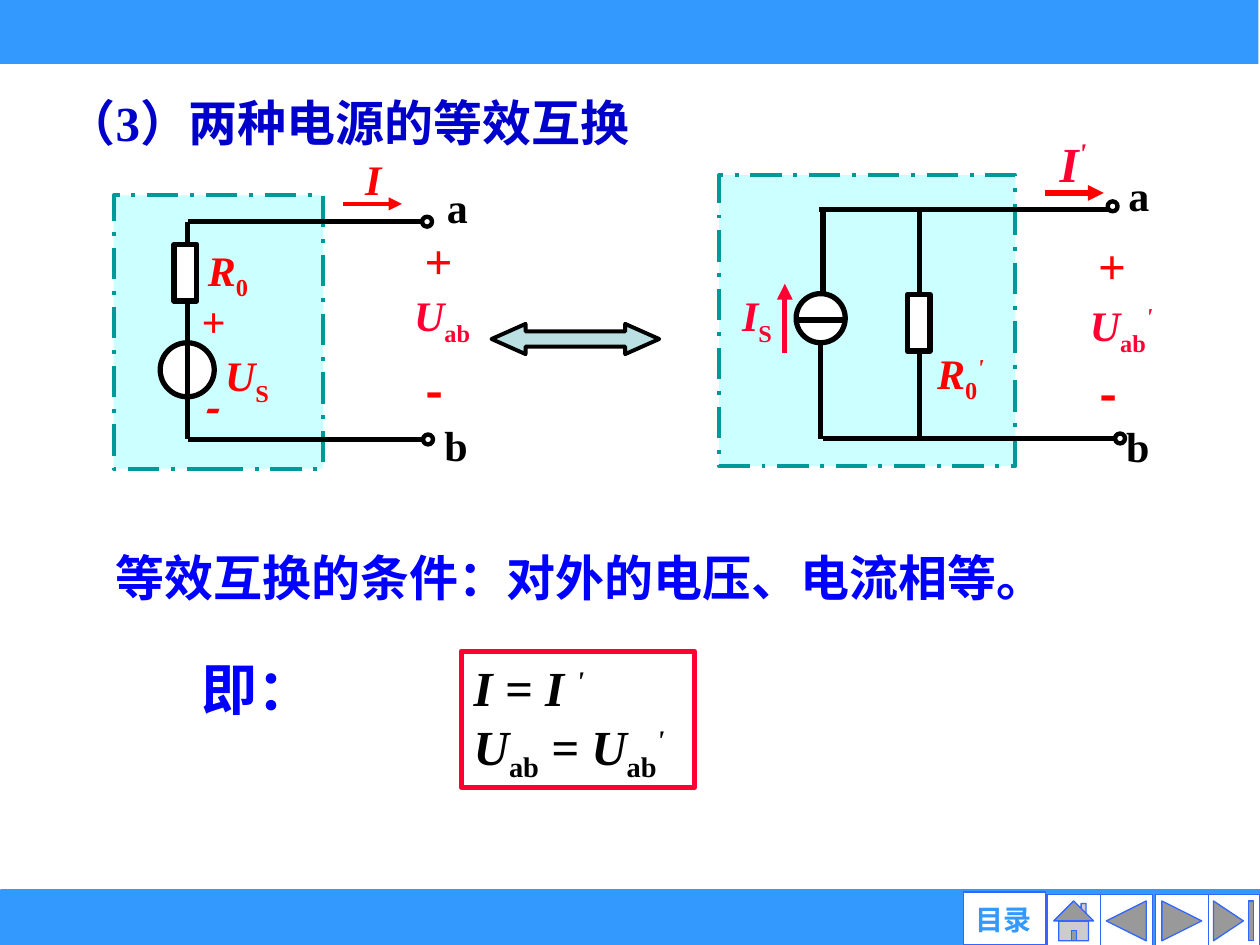
from dataclasses import dataclass
from typing import NamedTuple

from pptx import Presentation
from pptx.dml.color import RGBColor
from pptx.enum.dml import MSO_LINE
from pptx.enum.shapes import MSO_CONNECTOR, MSO_SHAPE as Kind
from pptx.enum.text import MSO_ANCHOR as Anchor, MSO_AUTO_SIZE as AutoSize, PP_ALIGN as Align
from pptx.oxml.ns import qn
from pptx.util import Cm, Pt
from lxml.etree import SubElement

COLORS = {
    "bar": "3399FF", "button_line": "3366FF", "white": "FFFFFF", "black": "000000",
    "title": "0000CC", "blue": "0000FF", "red": "FF0000", "crimson": "FF0033",
    "panel": "CCFFFF", "teal": "009999", "arrow": "BBE0E3",
}
SERIF = "Times New Roman"
SANS = "Noto Sans CJK SC"


class Span(NamedTuple):
    text: str
    italic: bool = False
    baseline: int = 0


class Area(NamedTuple):
    left: float
    top: float
    width: float
    height: float


class Wire(NamedTuple):
    x1: float
    y1: float
    x2: float
    y2: float
    color: str = "black"
    width: float = 3
    arrow: bool = False


class Label(NamedTuple):
    area: Area
    lines: list[list[Span]]
    color: str
    size: int = 24
    font: str = SERIF
    wrap: bool = False


@dataclass
class Circuit:
    panel: Area
    source: Area
    resistor: Area
    wires: list[Wire]
    terminals: list[tuple[float, float]]
    labels: list[Label]


def color_of(name: str) -> RGBColor:
    return RGBColor.from_string(COLORS[name])


def place(area: Area) -> list[Cm]:
    return [Cm(value) for value in area]


def write(frame, lines: list[list[Span]], color: str, size: int = 24,
          font: str = SERIF, wrap: bool = False, align=Align.LEFT) -> None:
    frame.word_wrap = wrap
    frame.auto_size = AutoSize.SHAPE_TO_FIT_TEXT
    for index, spans in enumerate(lines):
        para = frame.paragraphs[0] if index == 0 else frame.add_paragraph()
        para.alignment = align
        for span in spans:
            run = para.add_run()
            run.text = span.text
            run.font.size, run.font.name = Pt(size), font
            run.font.bold, run.font.italic = True, span.italic
            run.font.color.rgb = color_of(color)
            props = run._r.get_or_add_rPr()
            SubElement(props, qn("a:ea")).set("typeface", SANS)
            if span.baseline:
                props.set("baseline", str(span.baseline * 1000))


def add_label(page, label: Label) -> None:
    box = page.shapes.add_textbox(*place(label.area))
    write(box.text_frame, *label[1:])


def add_box(page, kind: Kind, area: Area, fill: str = "", line: str = "", width: float = 3):
    box = page.shapes.add_shape(kind, *place(area))
    box.shadow.inherit = False
    if fill:
        box.fill.solid()
        box.fill.fore_color.rgb = color_of(fill)
    else:
        box.fill.background()
    if line:
        box.line.color.rgb = color_of(line)
        box.line.width = Pt(width)
    else:
        box.line.fill.background()
    return box


def add_wire(page, wire: Wire) -> None:
    ends = [Cm(value) for value in wire[:4]]
    line = page.shapes.add_connector(MSO_CONNECTOR.STRAIGHT, *ends)
    line.line.color.rgb = color_of(wire.color)
    line.line.width = Pt(wire.width)
    if wire.arrow:
        SubElement(line.line._get_or_add_ln(), qn("a:tailEnd")).set("type", "triangle")
    SubElement(line._element.spPr, qn("a:effectLst"))


def add_circuit(page, circuit: Circuit) -> None:
    panel = add_box(page, Kind.RECTANGLE, circuit.panel, "panel", "teal", 2.25)
    panel.line.dash_style = MSO_LINE.LONG_DASH_DOT
    add_box(page, Kind.OVAL, circuit.source, "white", "black")
    for wire in circuit.wires:
        add_wire(page, wire)
    add_box(page, Kind.RECTANGLE, circuit.resistor, "white", "black")
    for left, top in circuit.terminals:
        add_box(page, Kind.OVAL, Area(left, top, 0.2, 0.2), "", "black", 2.5)
    for label in circuit.labels:
        add_label(page, label)


def symbol(name: str, sub: str = "", prime: int = 0) -> list[list[Span]]:
    spans = [Span(name, True)]
    if sub:
        spans.append(Span(sub, False, -25))
    if prime:
        spans.append(Span("'", True, prime))
    return [spans]


def plain(text: str) -> list[list[Span]]:
    return [[Span(text)]]


VOLTAGE_SOURCE = Circuit(
    panel=Area(2.29, 3.94, 4.22, 5.51),
    source=Area(3.23, 6.91, 1.09, 1.09),
    resistor=Area(3.51, 4.93, 0.46, 1.14),
    wires=[
        Wire(3.78, 4.47, 8.51, 4.47),
        Wire(3.78, 5.31, 3.78, 4.47),
        Wire(3.78, 8.84, 3.78, 6.02),
        Wire(3.78, 8.86, 8.51, 8.86),
        Wire(6.91, 4.11, 8.1, 4.11, "red", 2.5, True),
    ],
    terminals=[(8.51, 4.37), (8.53, 8.76)],
    labels=[
        Label(Area(7.11, 2.97, 0.84, 1.27), symbol("I"), "red"),
        Label(Area(3.94, 4.8, 1.35, 1.27), symbol("R", "0"), "red"),
        Label(Area(3.81, 5.84, 0.99, 1.27), symbol("+"), "red"),
        Label(Area(3.81, 7.57, 0.94, 1.27), symbol("-"), "red", 24, SANS),
        Label(Area(4.29, 6.93, 1.45, 1.27), symbol("U", "S"), "red"),
        Label(Area(8.71, 8.33, 0.99, 1.27), plain("b"), "black"),
        Label(Area(8.76, 3.53, 0.99, 1.27), plain("a"), "black", wrap=True),
        Label(Area(8.1, 5.72, 1.73, 1.27), symbol("U", "ab"), "crimson"),
        Label(Area(8.31, 4.52, 1.07, 1.45), plain("+"), "red", 28),
        Label(Area(8.33, 7.14, 1.02, 1.45), plain("-"), "red", 28, SANS),
    ],
)

CURRENT_SOURCE = Circuit(
    panel=Area(14.5, 3.53, 5.97, 5.87),
    source=Area(16.05, 5.92, 0.99, 0.99),
    resistor=Area(18.29, 5.94, 0.46, 1.14),
    wires=[
        Wire(18.54, 4.19, 18.54, 8.81),
        Wire(16.59, 4.19, 16.59, 5.89),
        Wire(16.54, 6.93, 16.54, 8.84),
        Wire(16.05, 6.45, 17.04, 6.45),
        Wire(16.51, 4.22, 22.33, 4.22),
        Wire(16.59, 8.84, 22.45, 8.84),
        Wire(21.06, 3.89, 22.25, 3.89, "red", 3, True),
        Wire(15.82, 7.11, 15.82, 5.72, "crimson", 3, True),
    ],
    terminals=[(22.33, 4.06), (22.48, 8.74)],
    labels=[
        Label(Area(21.11, 2.57, 1.09, 1.45), symbol("I", prime=40), "crimson", 28),
        Label(Area(21.72, 5.92, 2.54, 1.27), symbol("U", "ab", 40), "crimson", wrap=True),
        Label(Area(14.71, 5.72, 1.14, 1.27), symbol("I", "S"), "crimson"),
        Label(Area(22.5, 3.3, 1.19, 1.27), plain("a"), "black", wrap=True),
        Label(Area(22.45, 8.36, 0.99, 1.27), plain("b"), "black"),
        Label(Area(18.64, 6.88, 1.52, 1.27), symbol("R", "0", 30), "red"),
        Label(Area(21.89, 4.62, 1.07, 1.45), plain("+"), "red", 28),
        Label(Area(21.92, 7.21, 1.02, 1.45), plain("-"), "red", 28, SANS),
    ],
)

BUTTONS = [
    (Kind.ACTION_BUTTON_END, Area(24.33, 18.03, 1.07, 1.07)),
    (Kind.ACTION_BUTTON_FORWARD_OR_NEXT, Area(23.29, 18.03, 1.07, 1.07)),
    (Kind.ACTION_BUTTON_BACK_OR_PREVIOUS, Area(22.17, 18.03, 1.07, 1.07)),
    (Kind.ACTION_BUTTON_HOME, Area(21.11, 18.03, 1.07, 1.07)),
    (Kind.ACTION_BUTTON_CUSTOM, Area(19.43, 17.98, 1.65, 1.07)),
]


def add_navigation(page) -> None:
    add_box(page, Kind.RECTANGLE, Area(0.03, 17.98, 25.37, 1.07), "bar", "bar")
    for kind, area in BUTTONS:
        add_box(page, kind, area, "white", "button_line", 0.75)
    contents = page.shapes.add_textbox(*place(Area(19.43, 18.19, 1.6, 0.69)))
    frame = contents.text_frame
    frame.margin_left = frame.margin_right = frame.margin_top = frame.margin_bottom = 0
    frame.vertical_anchor = Anchor.MIDDLE
    write(frame, plain("目录"), "bar", 16, "Arial", True, Align.CENTER)
    add_box(page, Kind.RECTANGLE, Area(0, -0.03, 25.37, 1.32), "bar")


def main() -> None:
    deck = Presentation()
    deck.slide_width, deck.slide_height = Cm(25.4), Cm(19.05)
    page = deck.slides.add_slide(deck.slide_layouts[5])
    add_navigation(page)

    title = page.shapes.title
    title.left, title.top, title.width, title.height = place(Area(1.09, 1.73, 15.09, 1.45))
    title.text_frame.vertical_anchor = Anchor.TOP
    write(title.text_frame, plain("（3）两种电源的等效互换"), "title", 28, wrap=True)

    add_label(page, Label(Area(2.08, 10.92, 22.23, 1.45),
                          plain("等效互换的条件：对外的电压、电流相等。"), "blue", 28, wrap=True))
    add_label(page, Label(Area(3.81, 13.06, 2.77, 1.6), plain("即："), "blue", 32))

    formula = add_box(page, Kind.RECTANGLE, Area(9.3, 13.13, 4.7, 2.74), "", "crimson")
    formula.text_frame.vertical_anchor = Anchor.TOP
    voltages = symbol("U", "ab")[0] + symbol(" = U", "ab", 30)[0]
    write(formula.text_frame, symbol("I = I ", prime=30) + [voltages], "black", 28)

    exchange = add_box(page, Kind.LEFT_RIGHT_ARROW, Area(9.91, 6.53, 3.38, 0.61),
                       "arrow", "black", 2.25)
    exchange.adjustments[0], exchange.adjustments[1] = 0.5, 1.125

    for circuit in (VOLTAGE_SOURCE, CURRENT_SOURCE):
        add_circuit(page, circuit)
    deck.save("out.pptx")


if __name__ == "__main__":
    main()
